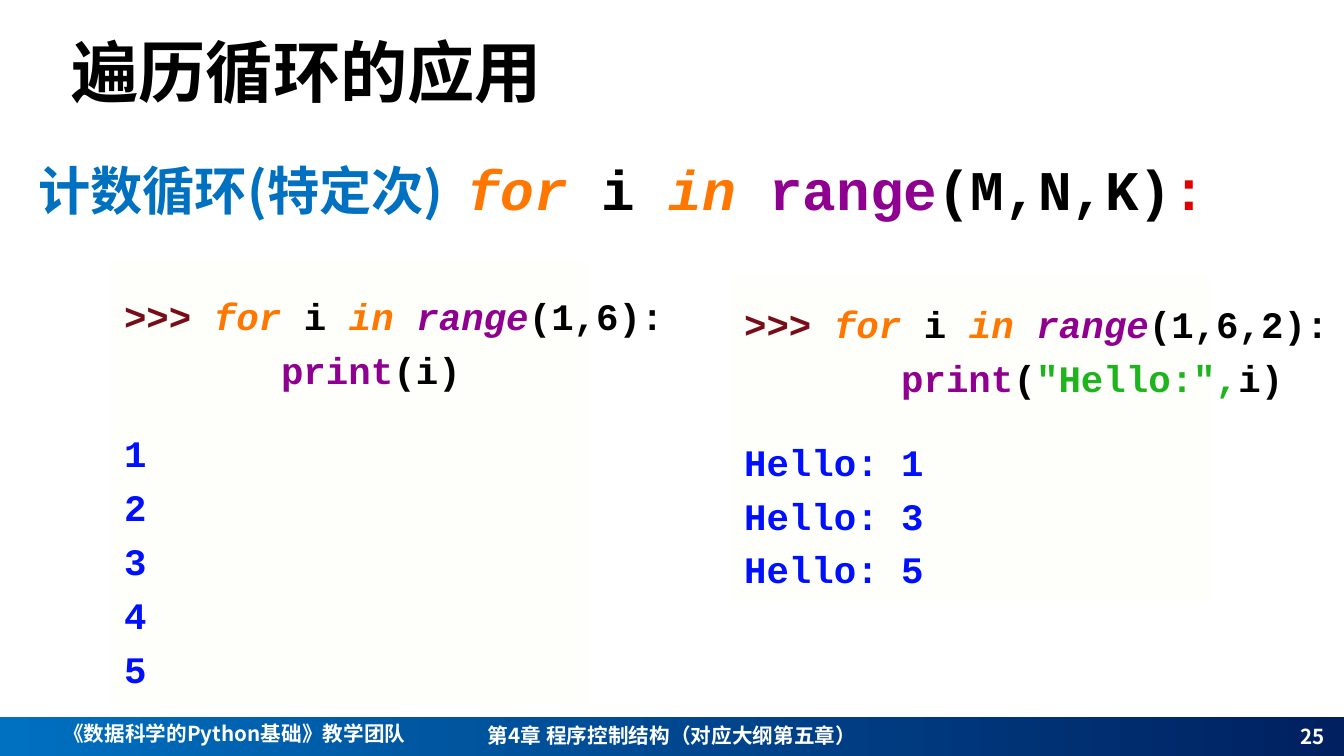
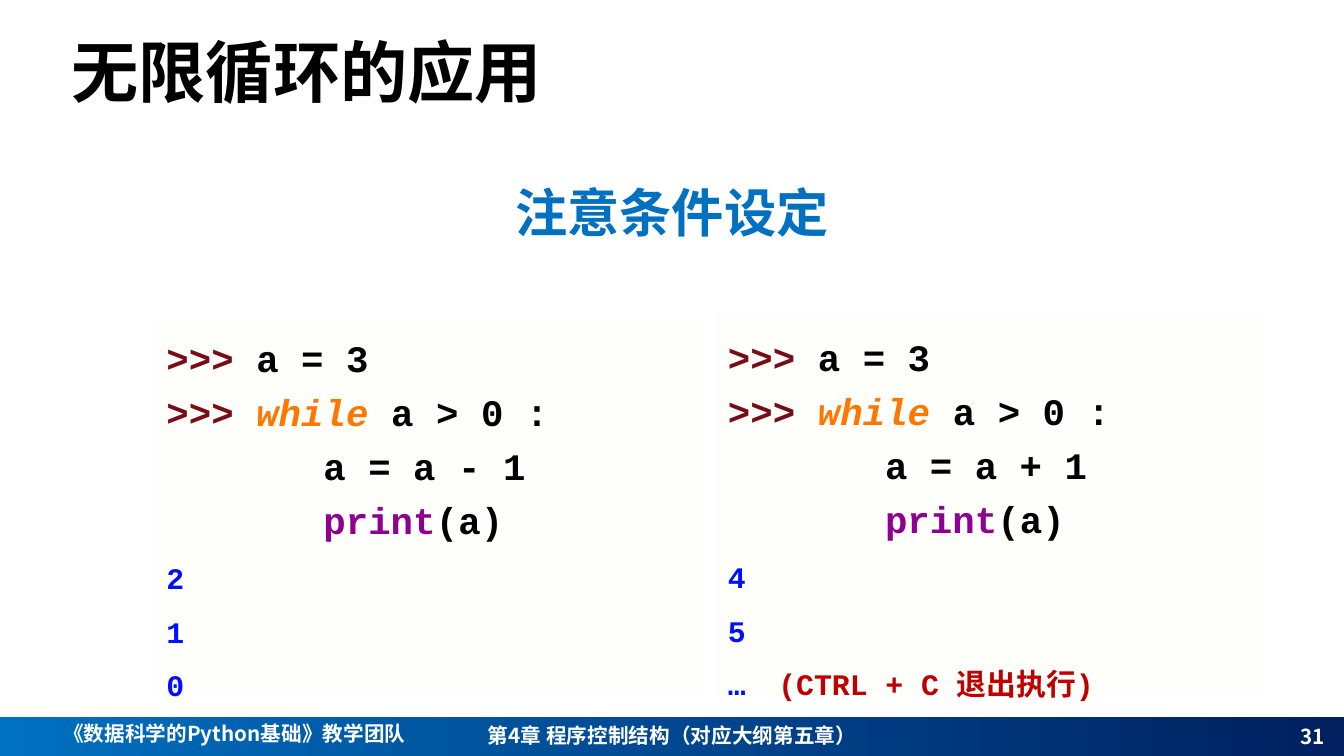
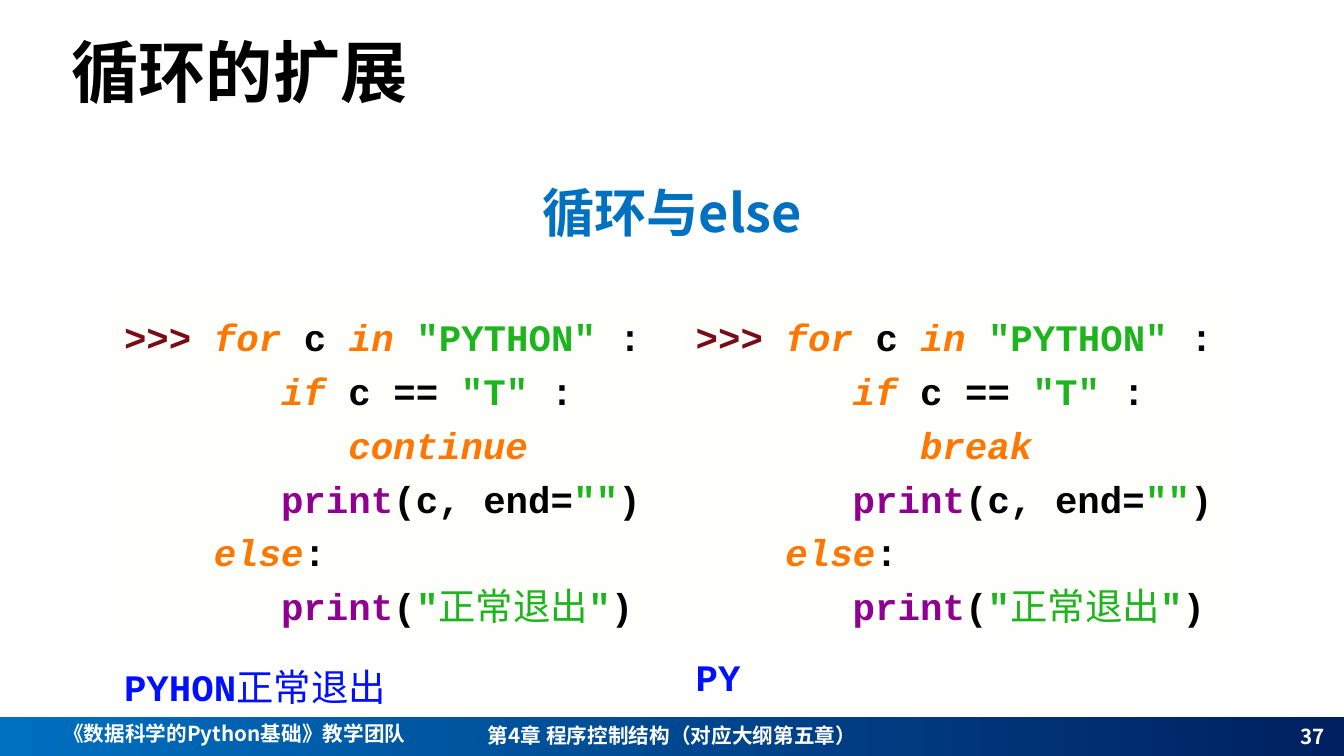
"""Build three slides on Python loops with highlighted code panels."""
from dataclasses import dataclass

from lxml.etree import SubElement
from pptx import Presentation
from pptx.dml.color import RGBColor
from pptx.enum.shapes import MSO_SHAPE
from pptx.enum.text import MSO_ANCHOR, PP_ALIGN
from pptx.oxml.ns import qn
from pptx.util import Inches, Pt

WIDTH, HEIGHT = 13.33, 7.5
SANS, MONO = "Noto Sans CJK SC", "Courier New"
BLUE, NAVY, WHITE, BLACK, CREAM = "0070C0", "002060", "FFFFFF", "000000", "FEFEFA"
CODE_SIZE, OUTPUT_SIZE, FOOTER_SIZE = 26.7, 21.3, 14.7
LINE_HEIGHT, CHARACTER_WIDTH = 1.2, 0.6
BODY, DEEP = 7, 10
CHAPTER = "第4章 程序控制结构（对应大纲第五章）"
TEAM = "《数据科学的Python基础》教学团队"


@dataclass
class Style:
    """Describe how a run looks."""
    color: str
    font: str = MONO
    bold: bool = True
    italic: bool = False


@dataclass
class Line:
    """Hold one line of a code panel."""
    runs: list
    indent: int = 0
    size: float = CODE_SIZE
    spacing: float = 1.2
    gap: float = 0
    tab: int = 0


STYLES = {
    "title": Style(BLACK, SANS),
    "heading": Style(BLUE, SANS),
    "footer": Style(WHITE, SANS),
    "prompt": Style("780D17"),
    "keyword": Style("FF7700", italic=True),
    "plain": Style(BLACK),
    "call": Style("900090"),
    "slanted call": Style("900090", italic=True),
    "string": Style("1DB41D"),
    "chinese string": Style("1DB41D", SANS, bold=False),
    "output": Style("0010FF"),
    "chinese output": Style("0010FF", SANS, bold=False),
    "colon": Style("E00000"),
    "warning": Style("C00000"),
}

PROMPT = ("prompt", ">>> ")


def counting_code(arguments, print_runs, outputs):
    """Return a for loop over a range and its output."""
    loop = [PROMPT, ("keyword", "for "), ("plain", "i "), ("keyword", "in "),
            ("slanted call", "range"), ("plain", f"({arguments}):")]
    results = [Line([("output", text)], gap=0 if index else 14.7)
               for index, text in enumerate(outputs)]
    return [Line(loop), Line([("call", "print"), *print_runs], BODY), *results]


def while_code(step, outputs):
    """Return a while loop and its output."""
    return [
        Line([PROMPT, ("plain", "a = 3")]),
        Line([PROMPT, ("keyword", "while "), ("plain", "a > 0 :")]),
        Line([("plain", step)], BODY),
        Line([("call", "print"), ("plain", "(a)")], BODY),
        *[Line(runs, size=OUTPUT_SIZE, spacing=1.5, tab=5) for runs in outputs],
    ]


def else_code(jump, output, gap):
    """Return a for loop with an else branch and its output."""
    return [
        Line([PROMPT, ("keyword", "for "), ("plain", "c "), ("keyword", "in "),
              ("string", '"PYTHON" '), ("plain", ":")]),
        Line([("keyword", "if"), ("plain", " c == "), ("string", '"T"'), ("plain", " :")], BODY),
        Line([("keyword", jump)], DEEP),
        Line([("call", "print"), ("plain", "(c, end="), ("string", '""'), ("plain", ")")], BODY),
        Line([("keyword", "else"), ("plain", ":")], 4),
        Line([("call", "print"), ("plain", "("), ("string", '"'), ("chinese string", "正常退出"),
              ("string", '"'), ("plain", ")")], BODY),
        Line(output, spacing=1.5, gap=gap),
    ]


SLIDES = [
    {
        "title": "遍历循环的应用", "page": "25", "heading_box": (0, 1.5, 12.34, 0.76),
        "heading": [("heading", "计数循环(特定次)", 37.3), ("plain", " ", 28),
                    ("keyword", "for ", 40), ("plain", "i ", 40), ("keyword", "in ", 40),
                    ("call", "range", 40), ("plain", "(M,N,K)", 40), ("colon", ":", 40)],
        "anchor": MSO_ANCHOR.MIDDLE, "top_inset": 0.16,
        "panels": [
            ((1.1, 2.6, 4.75, 4.38), counting_code("1,6", [("plain", "(i)")], "12345")),
            ((7.25, 2.72, 4.75, 3.24), counting_code(
                "1,6,2", [("plain", "("), ("string", '"Hello:",'), ("plain", "i)")],
                ["Hello: 1", "Hello: 3", "Hello: 5"])),
        ],
    },
    {
        "title": "无限循环的应用", "page": "31", "heading_box": (0, 1.76, WIDTH, 0.76),
        "heading": [("heading", "注意条件设定", 37.3)],
        "anchor": MSO_ANCHOR.TOP, "top_inset": 0.12,
        "panels": [
            ((1.52, 3.12, 5.45, 3.78), while_code(
                "a = a - 1", [[("output", text)] for text in "210"])),
            ((7.09, 3.11, 5.45, 3.78), while_code(
                "a = a + 1", [[("output", "4")], [("output", "5")],
                              [("output", "…\t"), ("warning", "(CTRL + C 退出执行)")]])),
        ],
    },
    {
        "title": "循环的扩展", "page": "37", "heading_box": (0, 1.76, WIDTH, 0.76),
        "heading": [("heading", "循环与else", 37.3)],
        "anchor": MSO_ANCHOR.TOP, "top_inset": 0.12,
        "panels": [
            ((1.1, 2.91, 5.45, 3.36), else_code(
                "continue", [("output", "PYHON"), ("chinese output", "正常退出")], 5.3)),
            ((6.77, 2.91, 5.45, 3.36), else_code("break", [("output", "PY")], 1.3)),
        ],
    },
]


def rgb(value):
    """Turn a hex string into a colour."""
    return RGBColor.from_string(value)


def add_run(paragraph, style_name, text, size):
    """Append one styled run to a paragraph."""
    style = STYLES[style_name]
    run = paragraph.add_run()
    run.text = text
    font = run.font
    font.name, font.size = style.font, Pt(size)
    font.bold, font.italic = style.bold, style.italic
    font.color.rgb = rgb(style.color)
    SubElement(font._element, qn("a:ea")).set("typeface", style.font)


def set_insets(frame, left, top, right, bottom):
    """Set the four text margins in inches."""
    frame.margin_left, frame.margin_top = Inches(left), Inches(top)
    frame.margin_right, frame.margin_bottom = Inches(right), Inches(bottom)


def add_text(slide, box, runs, align=PP_ALIGN.LEFT, anchor=MSO_ANCHOR.TOP, inset=None):
    """Add a text box with a single paragraph."""
    frame = slide.shapes.add_textbox(*map(Inches, box)).text_frame
    frame.word_wrap = True
    frame.vertical_anchor = anchor
    if inset is not None:
        set_insets(frame, *[inset] * 4)
    paragraph = frame.paragraphs[0]
    paragraph.alignment = align
    for run in runs:
        add_run(paragraph, *run)


def add_rectangle(slide, box):
    """Add a rectangle without outline or shadow."""
    shape = slide.shapes.add_shape(MSO_SHAPE.RECTANGLE, *map(Inches, box))
    shape.shadow.inherit = False
    shape.line.fill.background()
    return shape


def add_footer(slide, page):
    """Add the gradient band, its captions and the page number."""
    fill = add_rectangle(slide, (0, 7.11, WIDTH, HEIGHT - 7.11)).fill
    fill.gradient()
    fill.gradient_angle = 0
    for stop, position, color in zip(fill.gradient_stops, (0, 1), (BLUE, NAVY)):
        stop.position = position
        stop.color.rgb = rgb(color)
    for text, box, align, anchor in (
        (CHAPTER, (0, 7.12, WIDTH, 0.35), PP_ALIGN.CENTER, MSO_ANCHOR.TOP),
        (TEAM, (-0.16, 7.1, 4.97, 0.35), PP_ALIGN.CENTER, MSO_ANCHOR.TOP),
        (page, (10.24, 7.11, 3, 0.39), PP_ALIGN.RIGHT, MSO_ANCHOR.MIDDLE),
    ):
        add_text(slide, box, [("footer", text, FOOTER_SIZE)], align, anchor)


def add_panel(slide, box, lines, anchor, top_inset):
    """Add a cream panel holding lines of code."""
    shape = add_rectangle(slide, box)
    shape.fill.solid()
    shape.fill.fore_color.rgb = rgb(CREAM)
    frame = shape.text_frame
    frame.word_wrap = False
    frame.vertical_anchor = anchor
    set_insets(frame, 0.13, top_inset, 0.13, 0.07)
    for index, line in enumerate(lines):
        paragraph = frame.add_paragraph() if index else frame.paragraphs[0]
        paragraph.alignment = PP_ALIGN.LEFT
        paragraph.line_spacing = Pt(line.size * line.spacing * LINE_HEIGHT)
        paragraph.space_before = Pt(line.gap * line.spacing * LINE_HEIGHT)
        character = line.size * CHARACTER_WIDTH
        properties = paragraph._p.get_or_add_pPr()
        properties.set("marL", str(Pt(line.indent * character)))
        properties.set("indent", "0")
        if line.tab:
            tab = SubElement(SubElement(properties, qn("a:tabLst")), qn("a:tab"))
            tab.set("pos", str(Pt(line.tab * character)))
            tab.set("algn", "l")
        for style_name, text in line.runs:
            add_run(paragraph, style_name, text, line.size)


def main():
    """Create and save the presentation."""
    presentation = Presentation()
    presentation.slide_width, presentation.slide_height = Inches(WIDTH), Inches(HEIGHT)
    for content in SLIDES:
        slide = presentation.slides.add_slide(presentation.slide_layouts[6])
        add_footer(slide, content["page"])
        for box, lines in content["panels"]:
            add_panel(slide, box, lines, content["anchor"], content["top_inset"])
        add_text(slide, (0.68, 0.05, WIDTH - 0.68, 1.08), [("title", content["title"], 48)],
                 anchor=MSO_ANCHOR.BOTTOM, inset=0.03)
        add_text(slide, content["heading_box"], content["heading"], PP_ALIGN.CENTER, inset=0.03)
    presentation.save("out.pptx")


if __name__ == "__main__":
    main()
